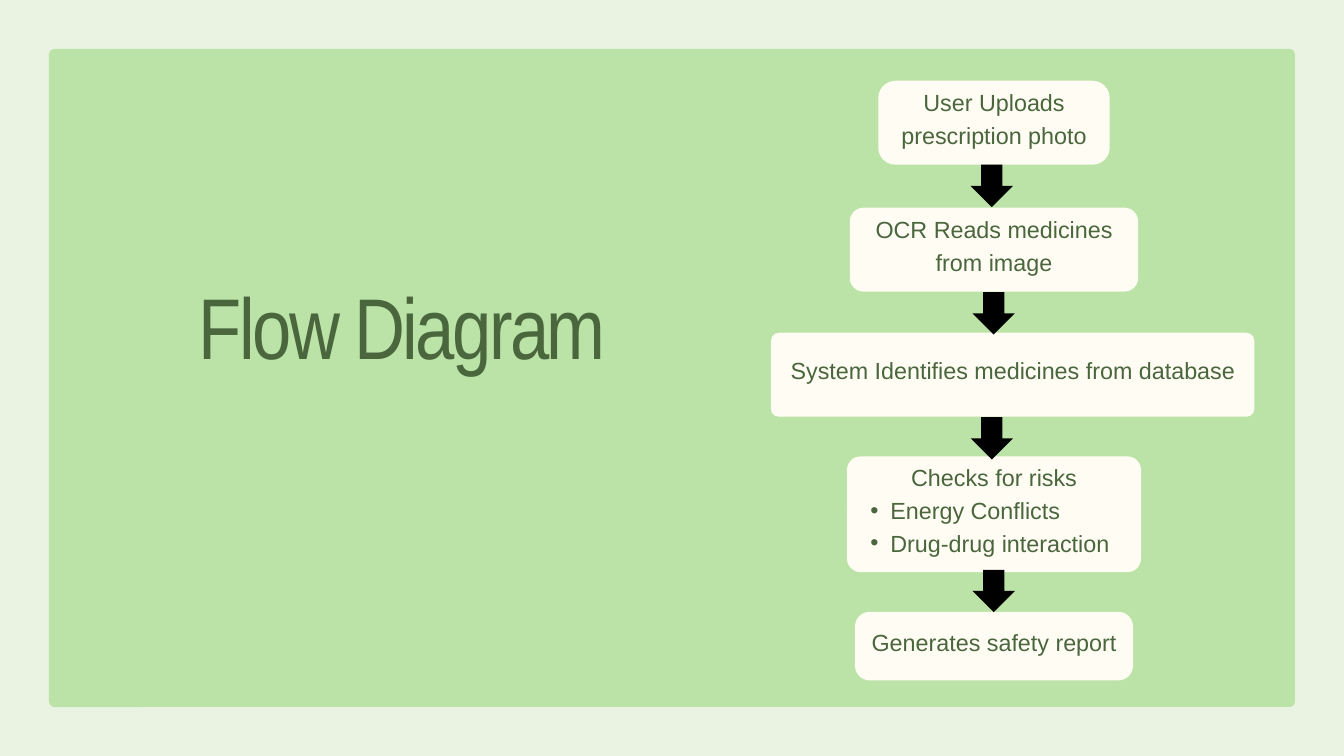
from lxml.etree import SubElement
from pptx import Presentation
from pptx.dml.color import RGBColor
from pptx.enum.shapes import MSO_SHAPE
from pptx.enum.text import MSO_ANCHOR, PP_ALIGN
from pptx.oxml.ns import qn
from pptx.util import Pt

PALE, GREEN, CREAM, DARK, BLACK = "EAF3E2", "BBE2A7", "FFFCF3", "4A663D", "000000"


def paint(fill, color):
    fill.solid()
    fill.fore_color.rgb = RGBColor.from_string(color)


class Deck:
    font, size, pitch = "Arial", 25, 35
    pad, lift = 4, 14

    def __init__(self, slide):
        self.slide = slide

    def shape(self, kind, x, y, w, h, color):
        item = self.slide.shapes.add_shape(kind, Pt(x), Pt(y), Pt(w), Pt(h))
        item.shadow.inherit = False
        paint(item.fill, color)
        item.line.fill.background()
        return item

    def panel(self, x, y, w, h, radius, color):
        item = self.shape(MSO_SHAPE.ROUNDED_RECTANGLE, x, y, w, h, color)
        item.adjustments[0] = radius / min(w, h)

    def arrow(self, x, y, side):
        self.shape(MSO_SHAPE.DOWN_ARROW, x, y, side, side, BLACK)

    def frame(self, x, y, w, h, pad):
        frame = self.slide.shapes.add_textbox(Pt(x), Pt(y), Pt(w), Pt(h)).text_frame
        frame.word_wrap = True
        frame.margin_left = frame.margin_right = Pt(pad)
        frame.margin_top = frame.margin_bottom = Pt(pad)
        return frame

    def style(self, para, font, size, pitch):
        para.line_spacing = Pt(pitch)
        for run in para.runs:
            run.font.name = font
            run.font.size = Pt(size)
            run.font.color.rgb = RGBColor.from_string(DARK)

    def bullet(self, para):
        para.level = 1
        props = para._p.get_or_add_pPr()
        props.set("marL", str(Pt(42.5)))
        props.set("indent", str(-Pt(21.5)))
        SubElement(props, qn("a:buFont")).set("typeface", self.font)
        SubElement(props, qn("a:buChar")).set("char", "•")

    def title(self, text, x, y, w, h):
        frame = self.frame(x, y, w, h, 0)
        frame.text = text
        para = frame.paragraphs[0]
        self.style(para, "Arial Narrow", 92.3, 120)
        para.runs[0].font._element.set("spc", "-280")

    def step(self, mid, y, w, h, radius, head, *points):
        x = mid - w / 2
        self.panel(x, y, w, h, radius, CREAM)
        # The text sits a little above the middle of its card
        frame = self.frame(x, y - self.lift, w, h + self.lift, self.pad)
        frame.vertical_anchor = MSO_ANCHOR.MIDDLE
        frame.text = "\n".join((head, *points))
        for para in frame.paragraphs:
            self.style(para, self.font, self.size, self.pitch)
        frame.paragraphs[0].alignment = PP_ALIGN.CENTER
        for para in frame.paragraphs[1:]:
            self.bullet(para)


# Slide and background
show = Presentation()
show.slide_width, show.slide_height = Pt(1440), Pt(810)
slide = show.slides.add_slide(show.slide_layouts[6])
paint(slide.background.fill, PALE)
deck = Deck(slide)
deck.panel(52.5, 52.5, 1335, 705, 5.8, GREEN)

# Title
deck.title("Flow Diagram", 213, 283.7, 543, 117.5)

# Steps: middle, top, width, height, corner radius, text
steps = [
    (1065, 86.5, 248, 90, 18.4, "User Uploads prescription photo"),
    (1065, 222.5, 309, 90, 14.8, "OCR Reads medicines from image"),
    (1085, 356.5, 518, 90, 8.6, "System Identifies medicines from database"),
    (1065, 489, 315, 124, 14.4, "Checks for risks",
     "Energy Conflicts", "Drug-drug interaction"),
    (1065, 655.5, 298, 73.5, 15.8, "Generates safety report"),
]
for step in steps:
    deck.step(*step)

# Arrows between the steps
for x, y in [(1040, 176.5), (1042, 313), (1040, 447), (1042, 610.5)]:
    deck.arrow(x, y, 45.4)

show.save("out.pptx")
